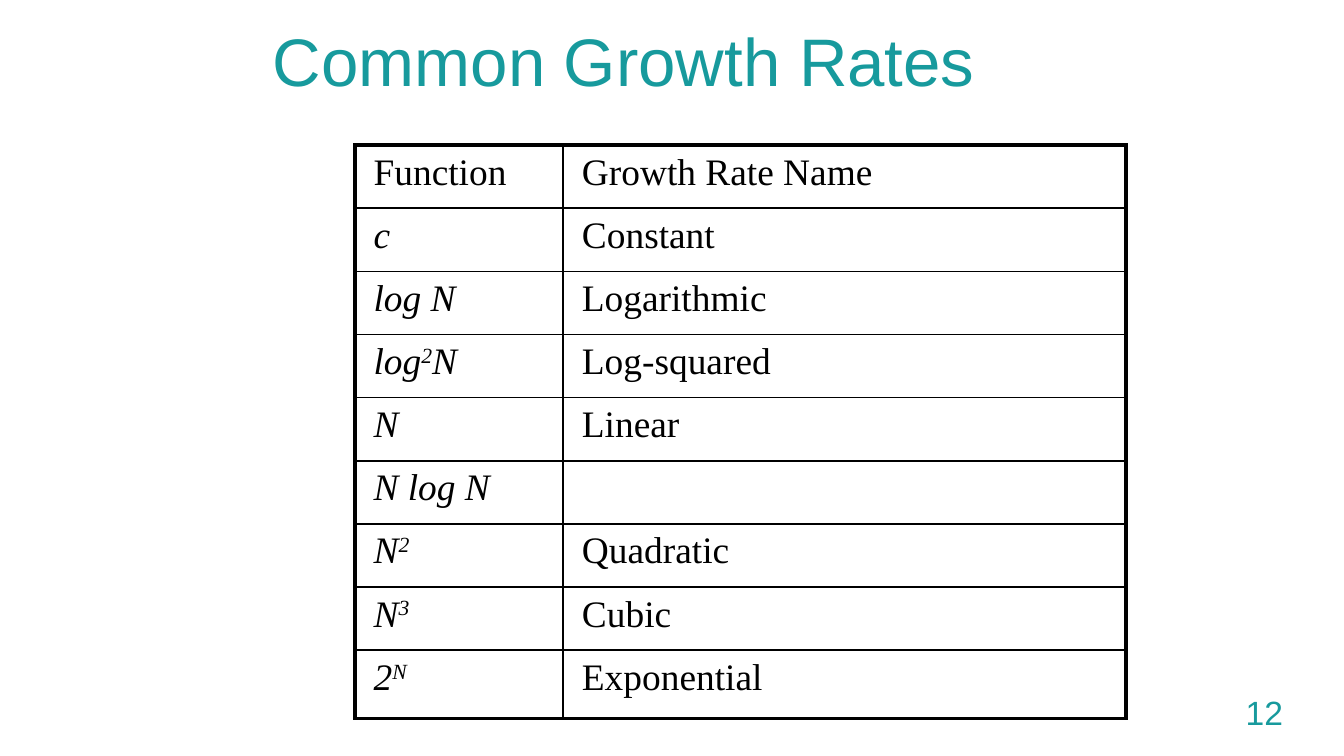
from lxml import etree
from pptx import Presentation
from pptx.dml.color import RGBColor
from pptx.enum.text import MSO_ANCHOR, MSO_AUTO_SIZE, PP_ALIGN
from pptx.oxml.ns import qn
from pptx.util import Inches, Pt

LEFT, MIDDLE, NO_FIT = PP_ALIGN.LEFT, MSO_ANCHOR.MIDDLE, MSO_AUTO_SIZE.NONE
TITLE_ONLY = 5
COLORS = {"teal": "179A9D", "black": "000000", "white": "FFFFFF"}
TITLE_FONT = {"name": "Arial", "size": Pt(36), "bold": False}
NUMBER_FONT = {"name": "Arial", "size": Pt(18)}
CELL_FONT = {"name": "Times New Roman", "size": Pt(20), "italic": False}
FORMULA_FONT = {**CELL_FONT, "italic": True}
CELL_MARGINS = {
    "margin_left": Inches(0.14), "margin_right": Inches(0.14),
    "margin_top": Inches(0.05), "margin_bottom": Inches(0.05),
}
THIN, THICK = 1, 2.25
COLUMN_WIDTHS = [1.55, 4.19]
ROW_HEIGHTS = [0.47] * 8 + [0.51]
GROWTH_RATES = [
    (["Function"], "Growth Rate Name"),
    (["c"], "Constant"),
    (["log N"], "Logarithmic"),
    (["log", "2", "N"], "Log-squared"),
    (["N"], "Linear"),
    (["N log N"], ""),
    (["N", "2"], "Quadratic"),
    (["N", "3"], "Cubic"),
    (["2", "N"], "Exponential"),
]


def set_attributes(target, values):
    for name, value in values.items():
        setattr(target, name, value)


def add_span(para, text, font, color, raised=False):
    span = para.add_run()
    span.text = text
    set_attributes(span.font, font)
    span.font.color.rgb = RGBColor.from_string(COLORS[color])
    if raised:
        span.font._element.set("baseline", "30000")


def set_borders(cell, widths):
    properties = cell._tc.get_or_add_tcPr()
    for side in "LRTB":
        line = etree.SubElement(properties, qn(f"a:ln{side}"), w=str(Pt(widths[side])))
        fill = etree.SubElement(line, qn("a:solidFill"))
        etree.SubElement(fill, qn("a:srgbClr"), val=COLORS["black"])


def add_title(page, left, top, width, height):
    title = page.shapes.title
    set_attributes(title, {
        "left": Inches(left), "top": Inches(top),
        "width": Inches(width), "height": Inches(height),
    })
    frame = title.text_frame
    set_attributes(frame, {"vertical_anchor": MIDDLE, "auto_size": NO_FIT})
    para = frame.paragraphs[0]
    para.alignment = LEFT
    add_span(para, "Common Growth Rates", TITLE_FONT, "teal")


def add_page_number(page, left, top, width, height):
    box = page.shapes.add_textbox(Inches(left), Inches(top), Inches(width), Inches(height))
    box.text_frame.word_wrap = True
    add_span(box.text_frame.paragraphs[0], "12", NUMBER_FONT, "teal")


def add_growth_table(page, left, top):
    rows, columns = len(ROW_HEIGHTS), len(COLUMN_WIDTHS)
    frame = page.shapes.add_table(
        rows, columns, Inches(left), Inches(top),
        Inches(sum(COLUMN_WIDTHS)), Inches(sum(ROW_HEIGHTS)),
    )
    table = frame.table
    set_attributes(table, {"first_row": False, "horz_banding": False})
    for column, width in zip(table.columns, COLUMN_WIDTHS):
        column.width = Inches(width)
    for row, height in zip(table.rows, ROW_HEIGHTS):
        row.height = Inches(height)

    for r, (formula, rate_name) in enumerate(GROWTH_RATES):
        for c, parts in enumerate([formula, [rate_name]]):
            cell = table.cell(r, c)
            set_attributes(cell, CELL_MARGINS)
            set_borders(cell, {
                "L": THICK if c == 0 else THIN,
                "R": THICK if c == columns - 1 else THIN,
                "T": THICK if r == 0 else THIN,
                "B": THICK if r == rows - 1 else THIN,
            })
            cell.fill.solid()
            cell.fill.fore_color.rgb = RGBColor.from_string(COLORS["white"])
            font = FORMULA_FONT if r > 0 and c == 0 else CELL_FONT
            para = cell.text_frame.paragraphs[0]
            for i, part in enumerate(parts):
                if part:
                    add_span(para, part, font, "black", raised=i == 1)


def main():
    deck = Presentation()
    deck.slide_width = Inches(10)
    deck.slide_height = deck.slide_width * 9 // 16
    page = deck.slides.add_slide(deck.slide_layouts[TITLE_ONLY])
    add_page_number(page, 9.17, 5.1, 0.63, 0.4)
    add_title(page, 1.93, 0.13, 8.07, 0.63)
    add_growth_table(page, 2.64, 1.08)
    deck.save("out.pptx")


if __name__ == "__main__":
    main()
